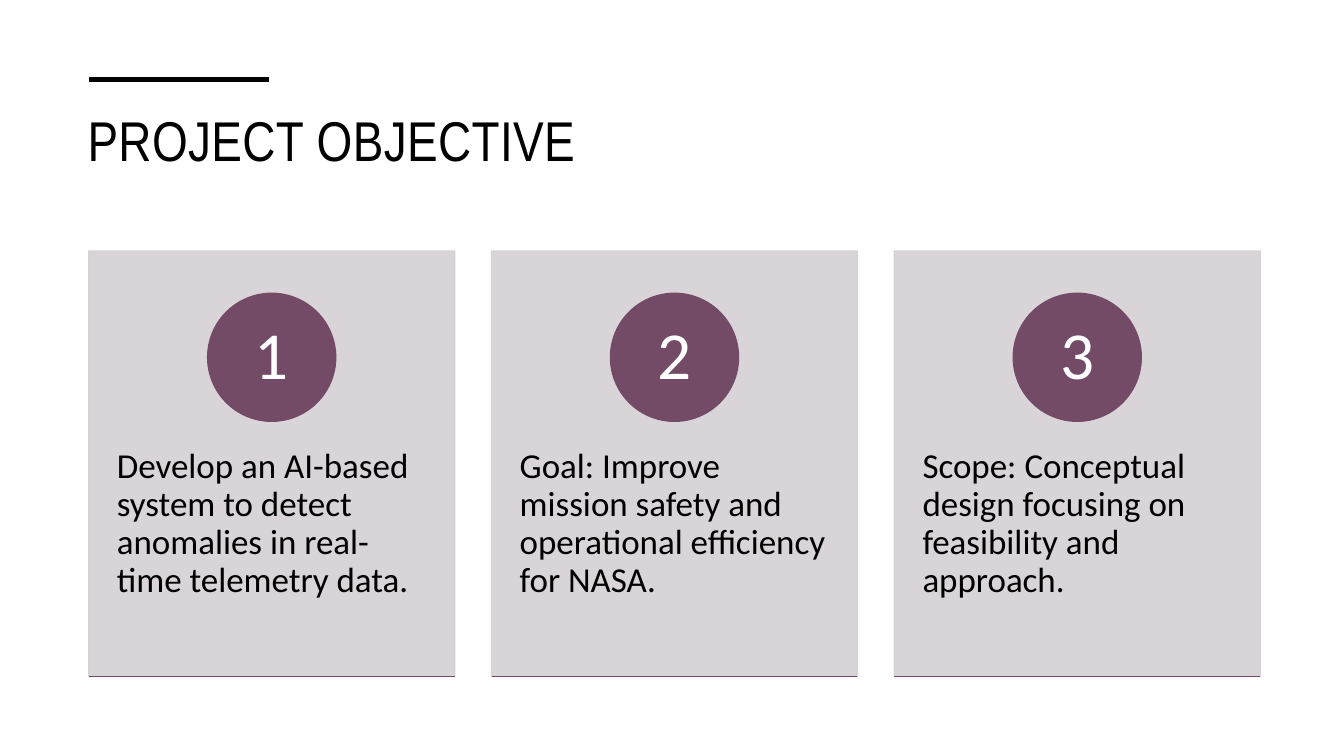
from lxml.etree import SubElement
from pptx import Presentation
from pptx.dml.color import RGBColor
from pptx.enum.shapes import MSO_CONNECTOR, MSO_SHAPE
from pptx.enum.text import MSO_ANCHOR, PP_ALIGN
from pptx.oxml.ns import qn
from pptx.util import Inches, Pt

TITLE = "PROJECT OBJECTIVE"
GOALS = [
    "Develop an AI-based system to detect anomalies in real-time telemetry data.",
    "Goal: Improve mission safety and operational efficiency for NASA.",
    "Scope: Conceptual design focusing on feasibility and approach.",
]
COLORS = {"ink": "000000", "card": "D5D0D3", "plum": "734B67", "white": "FFFFFF"}

LEFT, TOP = 0.88, 2.49
CARD_W, CARD_H = 3.63, 4.22
STEP = 3.995
DISC = 1.27
DISC_TOP = 2.91
BODY_TOP, BODY_H = 4.09, 2.53


def color(name):
    return RGBColor.from_string(COLORS[name])


def fade(fill):
    """Make a solid fill 90 percent opaque."""
    for tint in fill.iter(qn("a:srgbClr")):
        SubElement(tint, qn("a:alpha"), val="90000")


def add_line(slide, x, y, width, name, weight):
    line = slide.shapes.add_connector(
        MSO_CONNECTOR.STRAIGHT, Inches(x), Inches(y), Inches(x + width), Inches(y))
    line.line.color.rgb = color(name)
    line.line.width = Pt(weight)
    SubElement(line._element.spPr, qn("a:effectLst"))


def add_block(slide, kind, x, y, width, height, name):
    block = slide.shapes.add_shape(
        kind, Inches(x), Inches(y), Inches(width), Inches(height))
    block.shadow.inherit = False
    block.fill.solid()
    block.fill.fore_color.rgb = color(name)
    block.line.color.rgb = color(name)
    block.line.width = Pt(1)
    return block


def add_box(slide, x, y, width, height):
    return slide.shapes.add_textbox(
        Inches(x), Inches(y), Inches(width), Inches(height))


def write(shape, text, size, font, name, pad, spacing=1.0,
          align=PP_ALIGN.LEFT, anchor=MSO_ANCHOR.TOP):
    frame = shape.text_frame
    frame.word_wrap = True
    frame.vertical_anchor = anchor
    frame.margin_left = frame.margin_right = Inches(pad[0])
    frame.margin_top = frame.margin_bottom = Inches(pad[1])
    para = frame.paragraphs[0]
    para.alignment = align
    para.line_spacing = spacing
    run = para.add_run()
    run.text = text
    run.font.size = Pt(size)
    run.font.name = font
    run.font.color.rgb = color(name)
    return run


def add_card(slide, x, number, text):
    card = add_block(slide, MSO_SHAPE.RECTANGLE, x, TOP, CARD_W, CARD_H, "card")
    fade(card._element.spPr)
    body = add_box(slide, x, BODY_TOP, CARD_W, BODY_H)
    write(body, text, 25, "Calibri", "ink", (0.28, 0.36), 0.9)
    disc = add_block(slide, MSO_SHAPE.OVAL, x + (CARD_W - DISC) / 2, DISC_TOP,
                     DISC, DISC, "plum")
    write(disc, str(number), 48, "Calibri", "white", (0.1, 0.01), 0.9,
          PP_ALIGN.CENTER, MSO_ANCHOR.MIDDLE)
    add_line(slide, x, TOP + CARD_H, CARD_W, "plum", 1)


def main():
    deck = Presentation()
    deck.slide_width, deck.slide_height = Inches(13.33), Inches(7.5)
    slide = deck.slides.add_slide(deck.slide_layouts[6])
    title = add_box(slide, 0.77, 1, 11.81, 1.15)
    run = write(title, TITLE, 40, "Arial Narrow", "ink", (0.1, 0.05))
    run.font._element.set("spc", "30")
    add_line(slide, LEFT, 0.79, 1.79, "ink", 3.5)
    for index, text in enumerate(GOALS):
        add_card(slide, LEFT + index * STEP, index + 1, text)
    deck.save("out.pptx")


if __name__ == "__main__":
    main()
